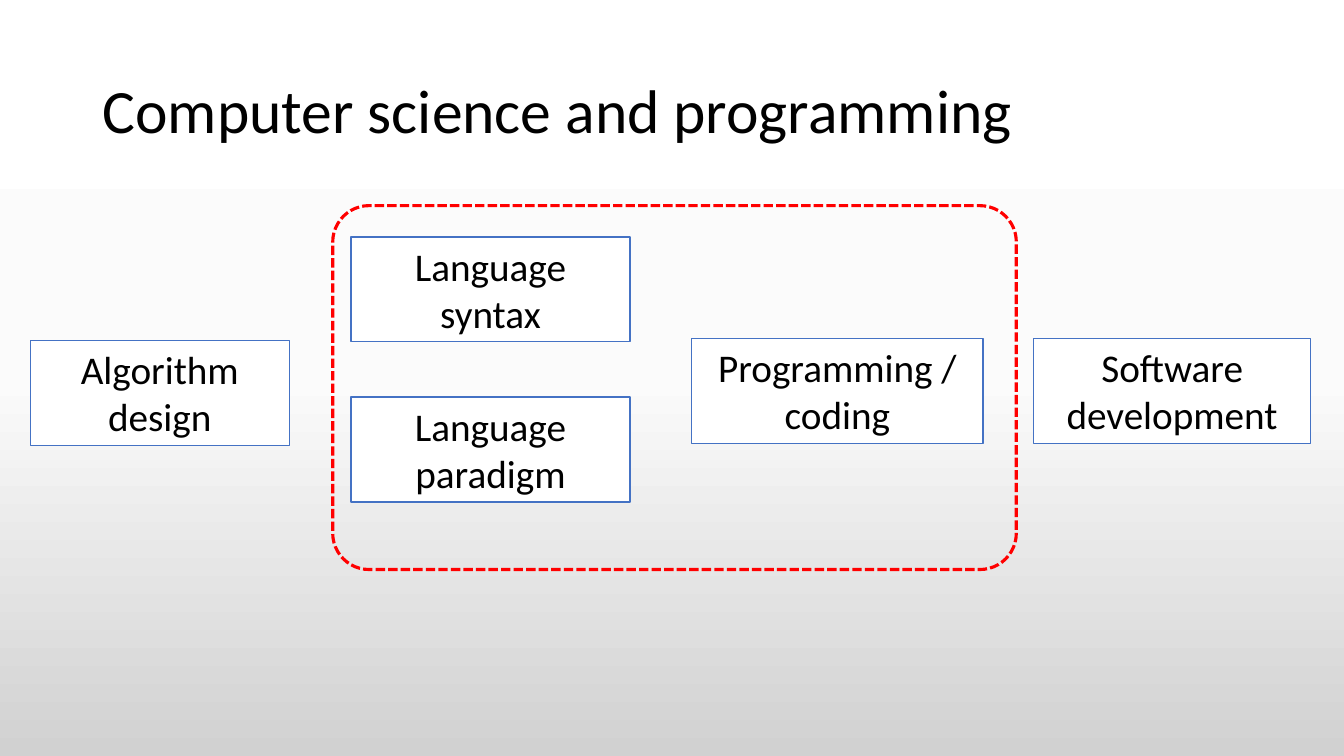
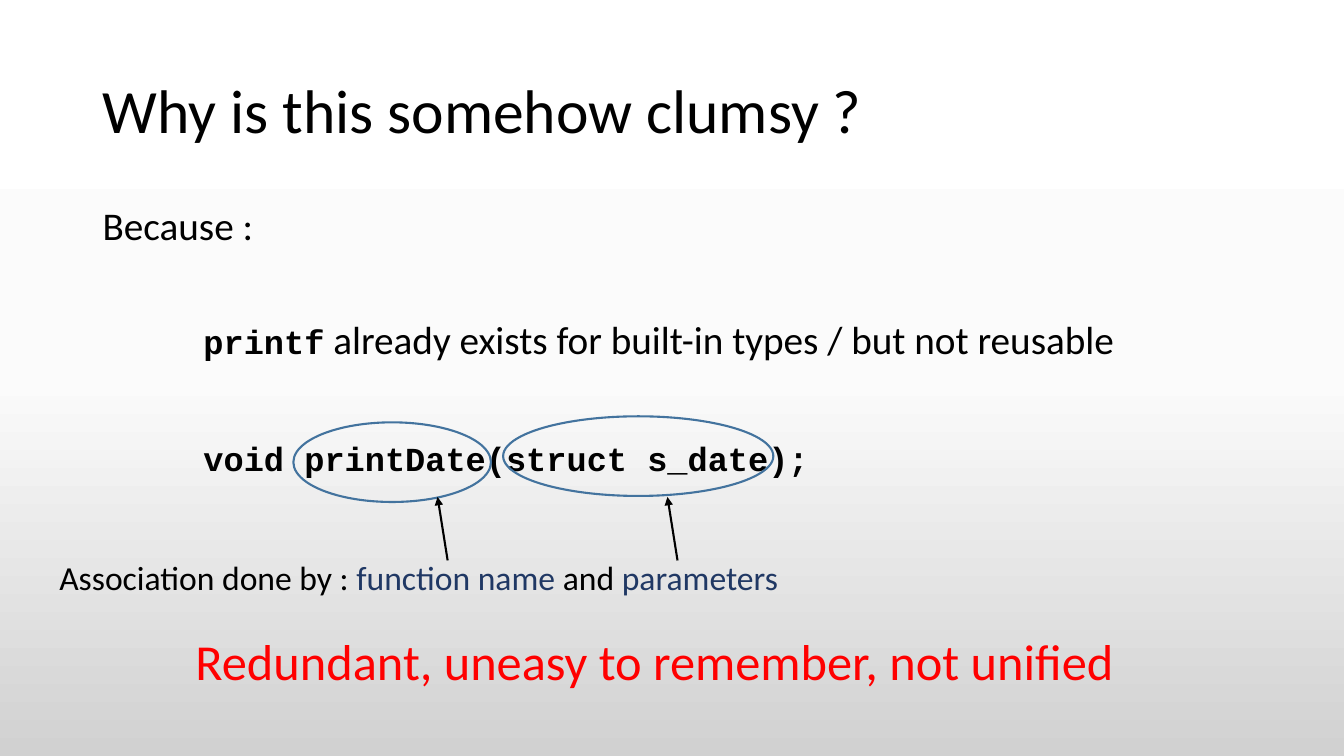
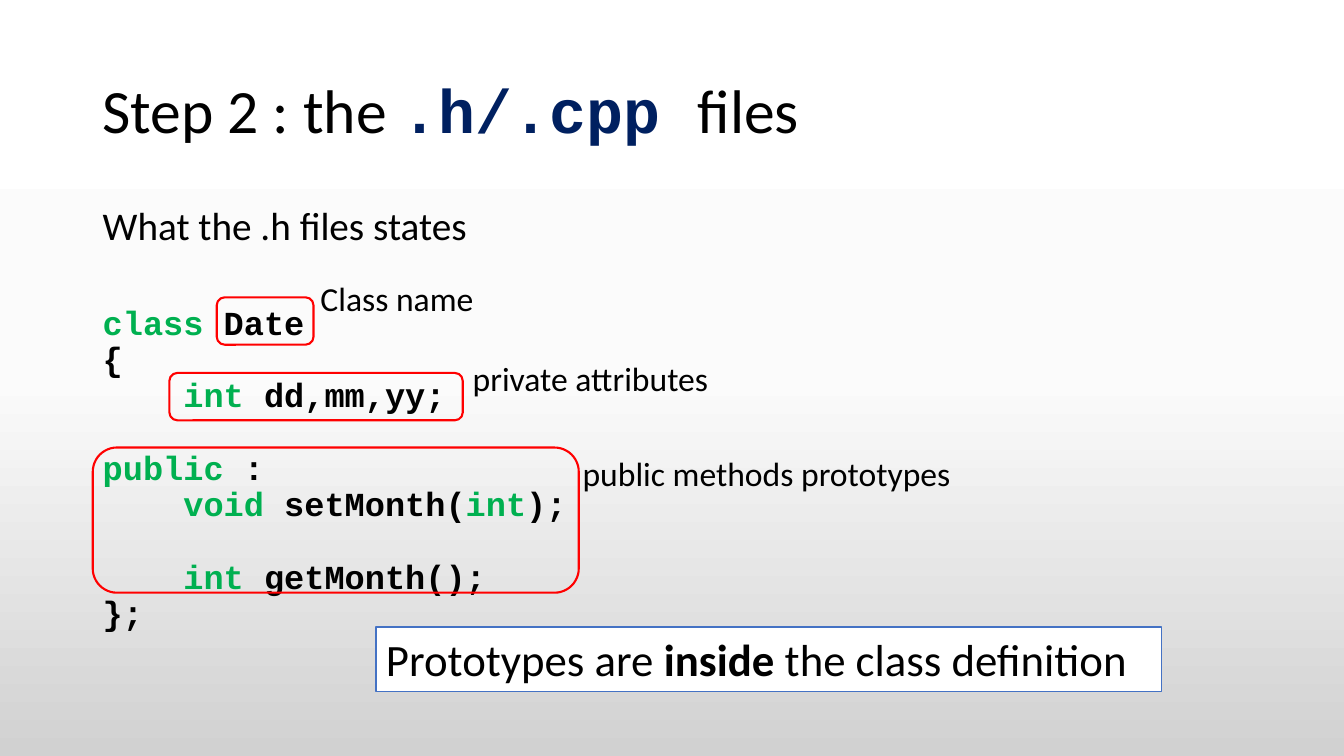
from copy import deepcopy
from dataclasses import dataclass

from pptx import Presentation
from pptx.dml.color import RGBColor
from pptx.enum.dml import MSO_LINE_DASH_STYLE as Dash
from pptx.enum.shapes import MSO_CONNECTOR as Connector, MSO_SHAPE as Preset
from pptx.enum.text import MSO_ANCHOR as Anchor, PP_ALIGN as Align
from pptx.oxml.ns import qn
from pptx.util import Inches, Pt

CELL = 0.1  # side of a grid cell in inches; every length below counts cells


@dataclass(frozen=True)
class Theme:
    black: str = "000000"
    white: str = "FFFFFF"
    red: str = "FF0000"
    green: str = "00B050"
    navy: str = "002060"
    indigo: str = "203864"
    box_line: str = "4472C4"
    oval_line: str = "43739E"
    backdrop: tuple = ((0, "FFFFFF"), (0.5, "FBFBFB"), (1, "D1D1D1"))
    text_font: str = "Calibri"
    code_font: str = "Courier New"
    title_size: int = 44
    verdict_size: int = 36
    callout_size: int = 32
    body_size: int = 28
    note_size: int = 24
    tight: float = 0.9
    body_gap: int = 10


THEME = Theme()


@dataclass(frozen=True)
class Box:
    left: float
    top: float
    width: float
    height: float

    def area(self, column, row, width, height):
        """A box placed from this box's top left corner."""
        return Box(self.left + column, self.top + row, width, height)

    def place(self):
        return [cells(n) for n in (self.left, self.top, self.width, self.height)]


@dataclass(frozen=True)
class Run:
    text: str
    size: int = THEME.body_size
    color: str = THEME.black
    font: str = THEME.text_font
    bold: bool = False


@dataclass(frozen=True)
class Line:
    runs: tuple
    before: float = 0
    indent: float = 0
    spacing: float = 1
    align: Align = Align.LEFT


TITLE = Box(9.2, 4, 115, 14.5)
CONTENT = Box(9.2, 20, 115, 47.6)


def cells(count):
    return Inches(count * CELL)


def rgb(color):
    return RGBColor.from_string(color)


def code(text, color=THEME.black, size=THEME.note_size):
    return Run(text, size, color, THEME.code_font, True)


def note(text, color=THEME.black):
    return Run(text, THEME.note_size, color)


# Shared building blocks
def write(shape, lines, anchor=Anchor.TOP):
    frame = shape.text_frame
    frame.word_wrap = True
    frame.vertical_anchor = anchor
    for index, line in enumerate(lines):
        paragraph = frame.add_paragraph() if index else frame.paragraphs[0]
        paragraph.alignment = line.align
        paragraph.line_spacing = line.spacing
        paragraph.space_before = Pt(line.before)
        if line.indent:
            paragraph._p.get_or_add_pPr().set("marL", str(cells(line.indent)))
        for item in line.runs:
            run = paragraph.add_run()
            run.text = item.text
            run.font.size = Pt(item.size)
            run.font.name = item.font
            run.font.bold = item.bold
            run.font.color.rgb = rgb(item.color)


def add_text(slide, box, *lines, anchor=Anchor.TOP):
    write(slide.shapes.add_textbox(*box.place()), lines, anchor)


def add_outline(slide, preset, box, color, weight=1.5, fill=None):
    shape = slide.shapes.add_shape(preset, *box.place())
    shape.shadow.inherit = False
    if fill:
        shape.fill.solid()
        shape.fill.fore_color.rgb = rgb(fill)
    else:
        shape.fill.background()
    shape.line.color.rgb = rgb(color)
    shape.line.width = Pt(weight)
    return shape


def add_card(slide, box, line):
    card = add_outline(slide, Preset.RECTANGLE, box, THEME.box_line, 1, THEME.white)
    write(card, [line])


def add_arrow(slide, box):
    """An arrow from the bottom right to the top left of the box."""
    left, top, width, height = box.place()
    arrow = slide.shapes.add_connector(
        Connector.STRAIGHT, left + width, top + height, left, top)
    arrow.line.color.rgb = rgb(THEME.black)
    arrow.line.width = Pt(1.5)
    arrow.line._get_or_add_ln().append(
        arrow._element.makeelement(qn("a:tailEnd"), {"type": "triangle"}))
    properties = arrow._element.spPr
    properties.append(properties.makeelement(qn("a:effectLst"), {}))


def set_backdrop(master):
    fill = master.background.fill
    fill.gradient()
    fill.gradient_angle = 270
    stops = master.element.xpath(".//p:bg//a:gsLst")[0]
    stops.append(deepcopy(stops[0]))
    for stop, (position, color) in zip(fill.gradient_stops, THEME.backdrop):
        stop.position = position
        stop.color.rgb = rgb(color)


def add_titled_slide(presentation, *runs):
    slide = presentation.slides.add_slide(presentation.slide_layouts[6])
    add_text(slide, TITLE, Line(runs, spacing=THEME.tight), anchor=Anchor.MIDDLE)
    return slide


def title(text):
    return Run(text, THEME.title_size)


# Slide 1: stages from algorithm to software
def draw_stages(slide, box):
    stages = (
        ("Algorithm design", 0, 13.4, 25.7),
        ("Language syntax", 31.8, 3.1, 27.7),
        ("Language paradigm", 31.8, 19, 27.7),
        ("Programming / coding", 65.6, 13.2, 28.9),
        ("Software development", 99.5, 13.2, 27.5),
    )
    for label, column, row, width in stages:
        add_card(slide, box.area(column, row, width, 10.4),
                 Line((Run(label),), align=Align.CENTER))
    scope = add_outline(slide, Preset.ROUNDED_RECTANGLE,
                        box.area(30, 0, 67.8, box.height), THEME.red, 2.25)
    scope.adjustments[0] = 0.1
    scope.line.dash_style = Dash.SQUARE_DOT


# Slide 2: reasons, with the parts of the signature marked
def draw_reasons(slide, box):
    tight = THEME.tight
    add_text(
        slide, box,
        Line((Run("Because :"),), THEME.body_gap, spacing=tight),
        Line((code("printf"),
              Run(" already exists for built-in types / but not reusable")),
             51, 10, tight),
        Line((code("void printDate(struct s_date);"),), 57, 10, tight),
    )
    for column, row, width in ((19.9, 21.9, 19.6), (40.7, 21.3, 26.8)):
        add_outline(slide, Preset.OVAL, box.area(column, row, width, 7.9),
                    THEME.oval_line)


def draw_association(slide, box):
    add_text(slide, box, Line((
        note("Association done by : "), note("function name ", THEME.indigo),
        note("and "), note("parameters", THEME.indigo))))
    for column in (38.5, 61.3):
        add_arrow(slide, box.area(column, -5.5, 1, 6.3))


def draw_verdict(slide, box):
    add_text(slide, box, Line((Run("Redundant, uneasy to remember, not unified",
                                   THEME.verdict_size, THEME.red),)))


# Slide 3: class listing with labelled parts
def draw_listing(slide, box):
    green, step, blank_line = THEME.green, 8, 26
    listing = (
        ((code("class", green), code(" Date")), 41, 0),
        ((code("{"),), 0, 0),
        ((code("int ", green), code("dd,mm,yy;")), 0, step),
        ((code("public", green), code(" :")), blank_line, 0),
        ((code("void ", green), code("setMonth("), code("int", green), code(");")),
         0, step),
        ((code("int ", green), code("getMonth();")), blank_line, step),
        ((code("};"),), 0, 0),
    )
    heading = Line((Run("What the .h files states"),), THEME.body_gap,
                   spacing=THEME.tight)
    add_text(slide, box, heading,
             *(Line(*entry, spacing=THEME.tight) for entry in listing))


def draw_labels(slide, box):
    labels = (
        ("Class name", (21.6, 7.1, 24.6, 5), (12.3, 9.5, 9.6, 4.7)),
        ("private attributes", (36.7, 15, 30.4, 5), (7.6, 17, 29.1, 4.7)),
        ("public methods prototypes", (47.6, 24.4, 52.1, 5), (0, 24.4, 48.2, 14.4)),
    )
    for text, label, mark in labels:
        add_text(slide, box.area(*label), Line((note(text),)))
        add_outline(slide, Preset.ROUNDED_RECTANGLE, box.area(*mark), THEME.red)


def draw_callout(slide, box):
    size = THEME.callout_size
    add_card(slide, box, Line((
        Run("Prototypes are ", size), Run("inside", size, bold=True),
        Run(" the class definition", size))))


def main():
    presentation = Presentation()
    presentation.slide_width = Inches(13.33)
    presentation.slide_height = Inches(7.5)
    set_backdrop(presentation.slide_master)

    slide = add_titled_slide(presentation, title("Computer science and programming"))
    draw_stages(slide, Box(3, 20.4, 127, 36.1))

    slide = add_titled_slide(presentation, title("Why is this somehow clumsy ?"))
    draw_reasons(slide, CONTENT)
    draw_association(slide, Box(4.9, 54.8, 73.3, 5))
    draw_verdict(slide, Box(18.4, 62, 98.9, 7.1))

    slide = add_titled_slide(
        presentation, title("Step 2 : the "),
        code(".h/.cpp ", THEME.navy, THEME.title_size), title("files"))
    draw_listing(slide, CONTENT.area(0, 0, 52.9, CONTENT.height))
    draw_labels(slide, CONTENT)
    draw_callout(slide, Box(37.3, 62.2, 77.9, 6.4))

    presentation.save("out.pptx")


if __name__ == "__main__":
    main()
